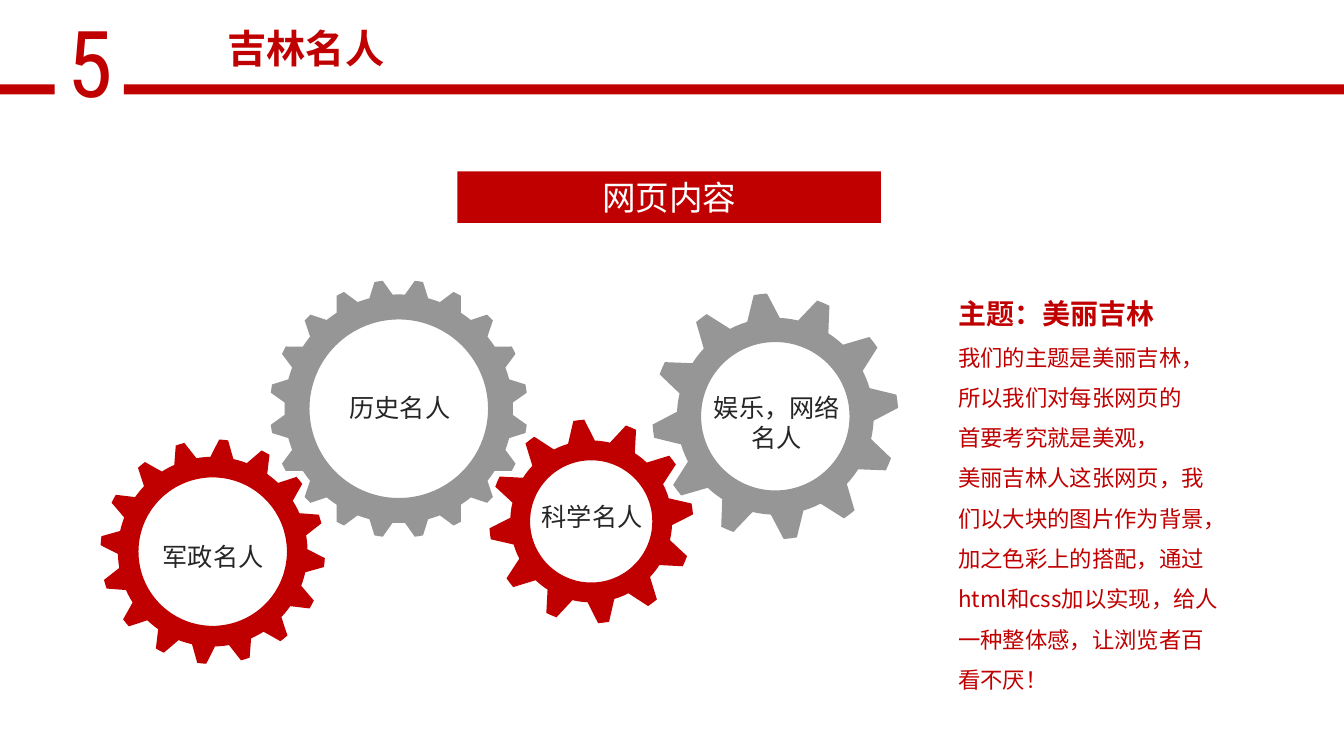
"""Build the slide on famous people of Jilin with four meshing gears."""
import math
from lxml import etree
from pptx import Presentation, util as u
from pptx.dml.color import RGBColor
from pptx.enum import shapes, text
from pptx.oxml.ns import qn

HUES = {"red": "C00000", "gray": "969696", "ink": "262626", "white": "FFFFFF"}
SANS = "Noto Sans CJK SC"
MID, TOP = text.MSO_ANCHOR.MIDDLE, text.MSO_ANCHOR.TOP
LEFT, CENTER = text.PP_ALIGN.LEFT, text.PP_ALIGN.CENTER


def ring(x, y, spots):
    return [(u.Cm(x + r * math.sin(math.radians(a))),
             u.Cm(y - r * math.cos(math.radians(a)))) for r, a in spots]


class Deck:
    """Hold the style and the current slide."""

    def __init__(self):
        self.prs = Presentation()
        self.prs.slide_width, self.prs.slide_height = u.Cm(33.87), u.Cm(19.05)
        self.slide = self.prs.slides.add_slide(self.prs.slide_layouts[6])

    def paint(self, shape, hue):
        shape.shadow.inherit = False
        shape.fill.solid()
        shape.fill.fore_color.rgb = RGBColor.from_string(HUES[hue])
        shape.line.fill.background()

    def letter(self, shape, lines, size, hue, face=SANS, bold=False,
               align=CENTER, anchor=MID, space=None):
        frame = shape.text_frame
        frame.text = "\n".join(lines)
        frame.word_wrap = True
        frame.vertical_anchor = anchor
        for para in frame.paragraphs:
            para.alignment = align
            if space:
                para.line_spacing = space
            for run in para.runs:
                font = run.font
                font.size, font.bold, font.name = u.Pt(size), bold, face
                font.color.rgb = RGBColor.from_string(HUES[hue])
                etree.SubElement(font._element, qn("a:ea"), typeface=face)

    def label(self, box, lines, size, hue, **look):
        shape = self.slide.shapes.add_textbox(*map(u.Cm, box))
        self.letter(shape, lines, size, hue, **look)
        return shape

    def bar(self, box, hue="red"):
        shape = self.slide.shapes.add_shape(
            shapes.MSO_SHAPE.RECTANGLE, *map(u.Cm, box))
        self.paint(shape, hue)
        return shape

    def gear(self, x, y, outer, root, hole, teeth, turn, tip, base, hue):
        step = 360 / teeth
        gap = (step - 2 * base) / 3
        rim = []
        for k in range(teeth):
            mid = turn + k * step
            rim += [(outer, mid - tip), (outer, mid), (outer, mid + tip)]
            rim += [(root, mid + base + i * gap) for i in range(4)]
        edge = ring(x, y, rim)
        bore = ring(x, y, [(hole, -a) for a in range(0, 360, 3)])
        pen = self.slide.shapes.build_freeform(*edge[0])
        pen.add_line_segments(edge[1:])
        pen.move_to(*bore[0])
        pen.add_line_segments(bore[1:])
        self.paint(pen.convert_to_shape(), hue)


def main():
    deck = Deck()
    deck.label((1.45, 0, 0.86, 3.07), ["5"], 66, "red",
               face="Roboto Condensed", align=LEFT, anchor=TOP)
    for left, width in ((3.12, 30.75), (-0.08, 1.46)):
        deck.bar((left, 2.13, width, 0.25))

    gears = (
        (10.05, 10.3, 3.25, 2.88, 2.25, 20, 9, 1.85, 5.9, "gray"),
        (14.9, 13.14, 2.57, 2.04, 1.54, 12, -7, 3.1, 9.6, "red"),
        (5.36, 13.9, 2.83, 2.39, 1.87, 16, 5.6, 2.3, 7, "red"),
        (19.54, 10.49, 3.1, 2.48, 1.87, 12, -7, 3.1, 9.6, "gray"),
    )
    for wheel in gears:
        deck.gear(*wheel)

    names = (
        ((3.81, 13.51, 3.12, 1.02), ["军政名人"]),
        ((7.87, 9.75, 4.42, 1.02), ["历史名人"]),
        ((13.36, 12.5, 3.12, 1.02), ["科学名人"]),
        ((17.37, 9.75, 4.42, 1.8), ["娱乐，网络", "名人"]),
    )
    for box, lines in names:
        deck.label(box, lines, 18, "ink")

    theme = deck.label((23.9, 6.93, 7.19, 10.77), [
        "主题：美丽吉林",
        "我们的主题是美丽吉林，",
        "所以我们对每张网页的",
        "首要考究就是美观，",
        "美丽吉林人这张网页，我们以大块的图片作为背景，",
        "加之色彩上的搭配，通过html和css加以实现，给人一种整体感，让浏览者百看不厌！",
    ], 16, "red", align=LEFT, anchor=TOP, space=1.5)
    head = theme.text_frame.paragraphs[0].runs[0].font
    head.size, head.bold = u.Pt(20), True

    deck.letter(deck.bar((11.53, 4.32, 10.67, 1.3)), ["网页内容"], 24, "white")
    deck.label((3.15, 0.48, 9.12, 1.45), ["吉林名人"], 28, "red",
               bold=True, anchor=TOP)
    deck.prs.save("out.pptx")


if __name__ == "__main__":
    main()
